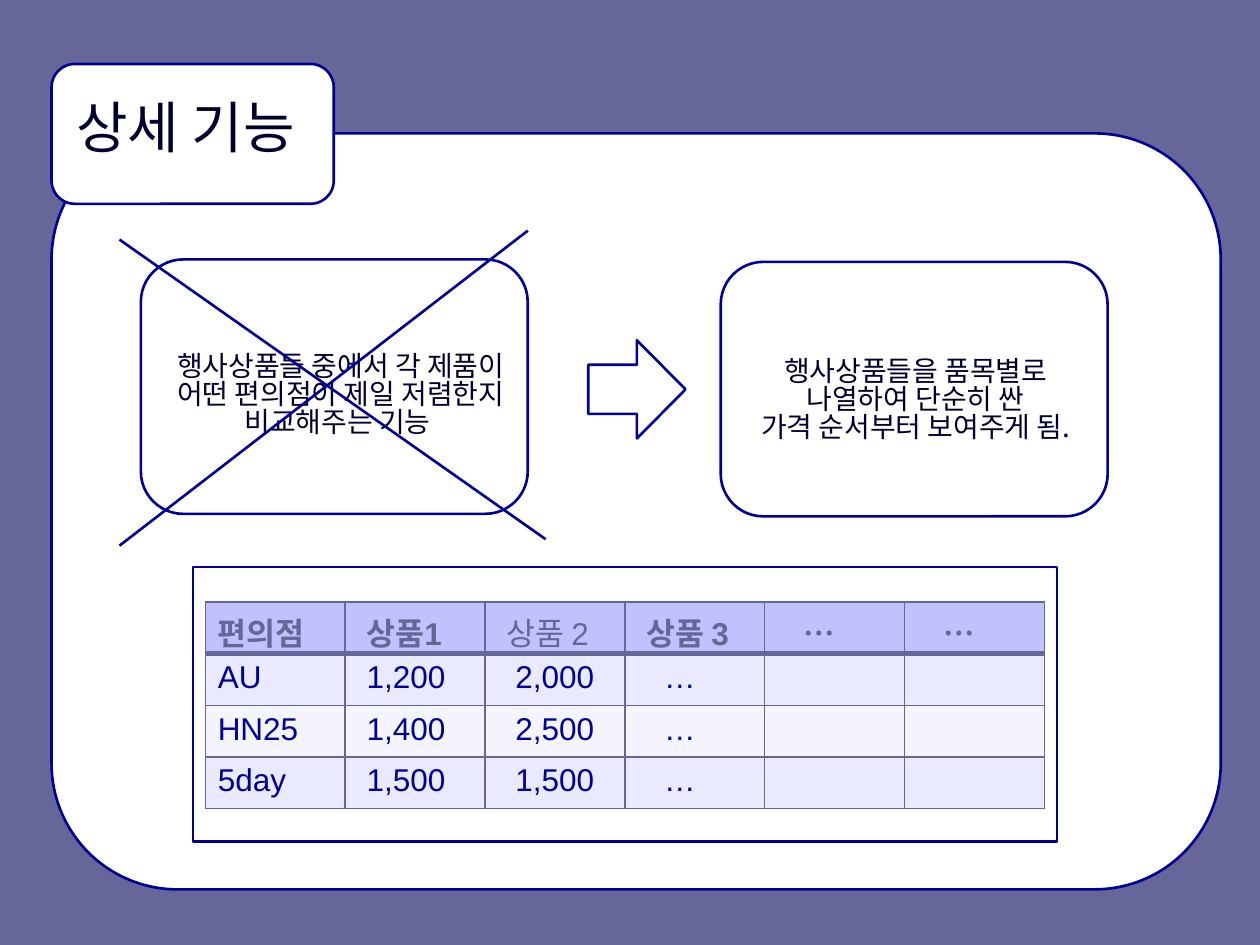
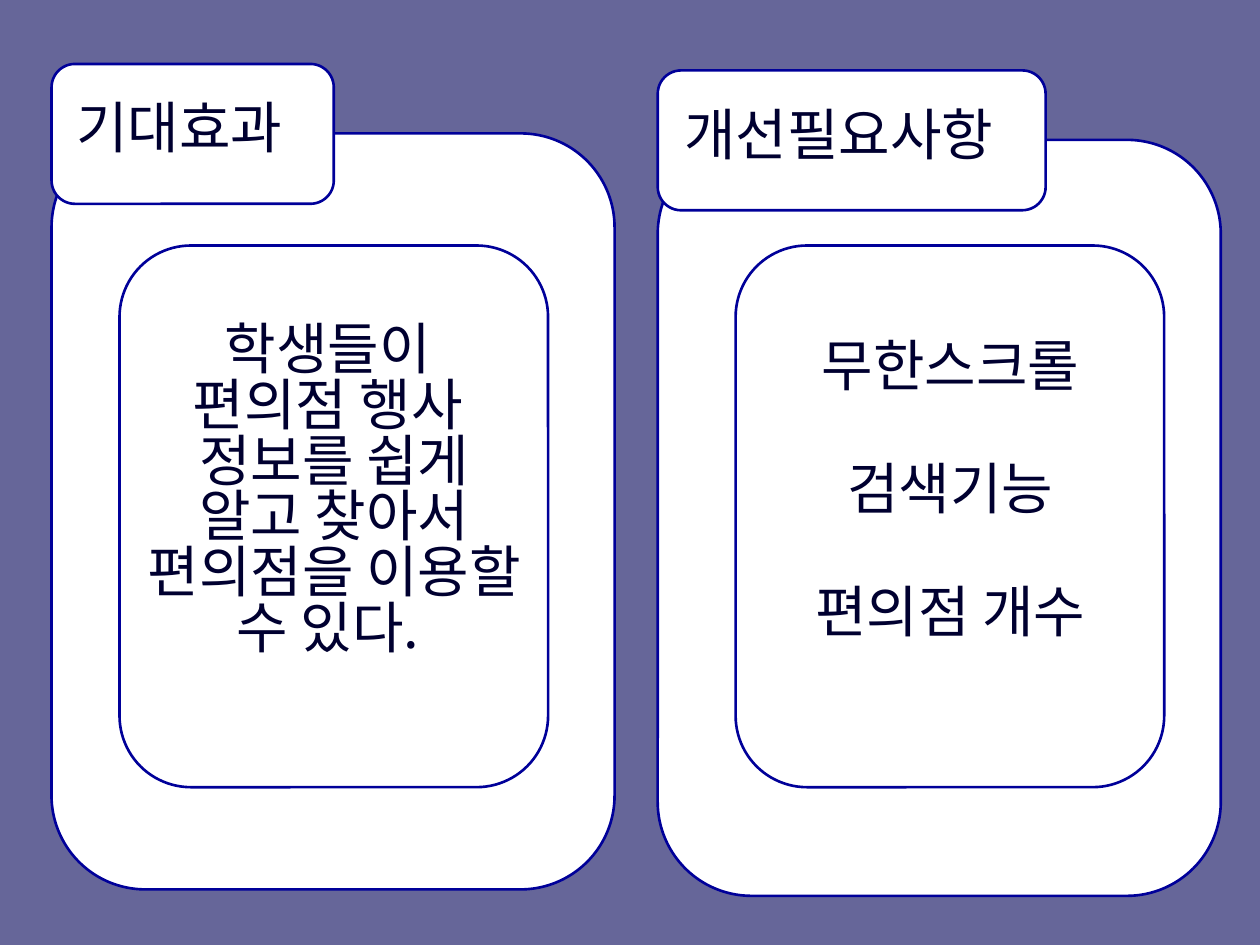
from lxml import etree
from pptx import Presentation
from pptx.dml.color import RGBColor as Rgb
from pptx.enum.shapes import MSO_CONNECTOR as Connector, MSO_SHAPE as Shape
from pptx.enum.text import MSO_ANCHOR as Anchor, PP_ALIGN as Align
from pptx.oxml.ns import qn
from pptx.util import Cm, Pt

COLORS = {
    "backdrop": "666699",
    "paper": "FFFFFF",
    "outline": "000099",
    "ink": "000030",
    "header": "C1C1FF",
    "odd_row": "E9E9FF",
    "even_row": "F4F4FF",
}
KOREAN, LATIN = "Noto Sans CJK KR", "Arial"
LINE_WIDTH = 1.5
FRAME_FORMAT = {"word_wrap": True, "vertical_anchor": Anchor.MIDDLE}
PARAGRAPH_FORMAT = {"alignment": Align.CENTER, "line_spacing": 0.83}

COLUMN_WIDTH, ROW_HEIGHT = 2.82, 1.04
CELL_MARGIN, INDENT_STEP = 0.25, 0.18
HEADER_INDENTS = (0, 1, 1, 1, 3, 3)
BODY_INDENTS = (0, 1, 2, 3, 0, 0)
PRICES = (
    ("편의점", "상품1", "상품 2", "상품 3", "…", "…"),
    ("AU", "1,200", "2,000", "…", "", ""),
    ("HN25", "1,400", "2,500", "…", "", ""),
    ("5day", "1,500", "1,500", "…", "", ""),
)


def color(name):
    return Rgb.from_string(COLORS[name])


def apply(target, values):
    for name, value in values.items():
        setattr(target, name, value)


def style_font(run, size, ink, face, bold=False):
    apply(run.font, {"size": Pt(size), "name": face, "bold": bold})
    run.font.color.rgb = color(ink)
    east_asian = etree.SubElement(run.font._element, qn("a:ea"))
    east_asian.set("typeface", KOREAN)


def add_slide(deck):
    slide = deck.slides.add_slide(deck.slide_layouts[6])
    slide.background.fill.solid()
    slide.background.fill.fore_color.rgb = color("backdrop")
    return slide


def add_block(slide, box, kind=Shape.ROUNDED_RECTANGLE):
    block = slide.shapes.add_shape(kind, *map(Cm, box))
    block.shadow.inherit = False
    block.fill.solid()
    block.fill.fore_color.rgb = color("paper")
    block.line.color.rgb = color("outline")
    block.line.width = Pt(LINE_WIDTH)


def add_words(slide, box, paragraphs, size, gap=0):
    frame = slide.shapes.add_textbox(*map(Cm, box)).text_frame
    apply(frame, FRAME_FORMAT)
    for index, words in enumerate(paragraphs):
        paragraph = frame.add_paragraph() if index else frame.paragraphs[0]
        paragraph.text = words
        apply(paragraph, PARAGRAPH_FORMAT)
        paragraph.space_before = Pt(gap if index else 0)
        for run in paragraph.runs:
            style_font(run, size, "ink", KOREAN)


def add_panel(slide, box, title, tab_width, title_width):
    left, top = box[:2]
    add_block(slide, box)
    add_block(slide, (left, top - 1.4, tab_width, 2.82))
    add_words(slide, (left - 0.51, top - 1.62, title_width, 3.18), [title], 32)


def add_card(slide, box, text_area, paragraphs, size, gap=0):
    left, top = box[:2]
    dx, dy, width, height = text_area
    add_block(slide, box)
    add_words(slide, (left + dx, top + dy, width, height), paragraphs, size, gap)


def add_cross(slide, box):
    left, top = box[:2]
    strokes = ((-0.43, 5.77, 7.8, -0.58), (-0.43, -0.4, 8.16, 5.64))
    for x1, y1, x2, y2 in strokes:
        ends = (left + x1, top + y1, left + x2, top + y2)
        stroke = slide.shapes.add_connector(Connector.STRAIGHT, *map(Cm, ends))
        stroke.line.color.rgb = color("outline")
        stroke.line.width = Pt(LINE_WIDTH)
        etree.SubElement(stroke._element.spPr, qn("a:effectLst"))


def set_borders(cell, widths):
    properties = cell._tc.get_or_add_tcPr()
    for index, (side, width) in enumerate(widths.items()):
        edge = etree.Element(qn(f"a:{side}"), w=str(Pt(width)))
        fill = etree.SubElement(edge, qn("a:solidFill"))
        etree.SubElement(fill, qn("a:srgbClr"), val=COLORS["backdrop"])
        properties.insert(index, edge)


def fill_cell(cell, words, row, column):
    is_header = row == 0
    indent = (HEADER_INDENTS if is_header else BODY_INDENTS)[column]
    cell.margin_left = Cm(CELL_MARGIN + indent * INDENT_STEP)
    cell.fill.solid()
    band = "header" if is_header else "odd_row" if row % 2 else "even_row"
    cell.fill.fore_color.rgb = color(band)
    set_borders(cell, {"lnL": 1, "lnR": 1, "lnT": 3 if row == 1 else 1,
                       "lnB": 3 if is_header else 1})
    if words:
        run = cell.text_frame.paragraphs[0].add_run()
        run.text = words
        face = KOREAN if is_header and words == "…" else LATIN
        ink = "backdrop" if is_header else "outline"
        style_font(run, 18, ink, face, is_header and column != 2)


def add_price_table(slide, box):
    left, top = box[:2]
    add_block(slide, box, Shape.RECTANGLE)
    rows, columns = len(PRICES), len(PRICES[0])
    area = (left + 0.25, top + 0.71, columns * COLUMN_WIDTH, rows * ROW_HEIGHT)
    table = slide.shapes.add_table(rows, columns, *map(Cm, area)).table
    for row, values in enumerate(PRICES):
        for column, words in enumerate(values):
            fill_cell(table.cell(row, column), words, row, column)


def build_features(deck):
    slide = add_slide(deck)
    add_panel(slide, (1.04, 2.69, 23.57, 15.24), "상세 기능", 5.69, 6.43)
    dropped = (2.84, 5.23, 7.8, 5.13)
    add_card(slide, dropped, (-0.1, 0.23, 8.26, 5.05),
             ["행사상품들 중에서 각 제품이", "어떤 편의점이 제일 저렴한지",
              "비교해주는 기능 "], 16)
    add_price_table(slide, (3.89, 11.43, 17.42, 5.54))
    add_cross(slide, dropped)
    add_block(slide, (11.86, 6.86, 1.96, 1.98), Shape.RIGHT_ARROW)
    add_card(slide, (14.53, 5.28, 7.8, 5.13), (-0.2, 0.28, 8.26, 5.05),
             ["행사상품들을 품목별로\v나열하여 단순히 싼\v가격 순서부터 보여주게 됨."], 16)


def build_outlook(deck):
    slide = add_slide(deck)
    text_area = (0.2, 0.3, 8.26, 9.35)
    add_panel(slide, (1.04, 2.69, 11.35, 15.24), "기대효과 ", 5.69, 6.43)
    add_panel(slide, (13.26, 2.82, 11.35, 15.24), "개선필요사항", 7.82, 8.33)
    add_card(slide, (2.41, 4.95, 8.64, 10.92), text_area,
             ["학생들이 \v편의점 행사 \v정보를 쉽게 알고 찾아서",
              "편의점을 이용할 수 있다. "], 32)
    add_card(slide, (14.83, 4.95, 8.64, 10.92), text_area,
             ["무한스크롤", "검색기능", "편의점 개수"], 32, 38.4)


def main():
    deck = Presentation()
    deck.slide_width, deck.slide_height = Cm(25.4), Cm(19.05)
    build_features(deck)
    build_outlook(deck)
    deck.save("out.pptx")


if __name__ == "__main__":
    main()
